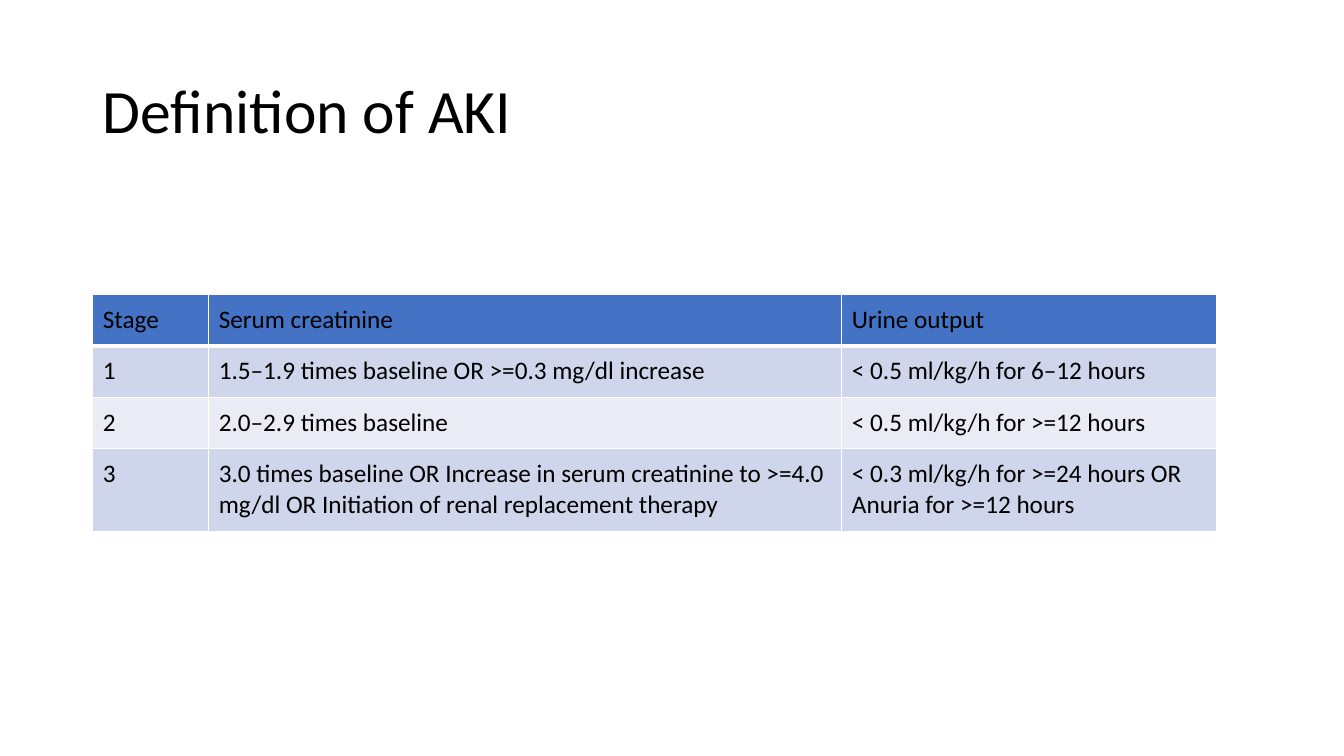
from dataclasses import dataclass

from lxml import etree
from pptx import Presentation
from pptx import util as u
from pptx.dml.color import RGBColor
from pptx.enum import text
from pptx.oxml import ns


@dataclass(frozen=True)
class Theme:
    font: str = "Calibri"
    ink: str = "000000"
    header: str = "4472C4"
    bands: tuple = ("CFD5EA", "E9EBF5")
    border: str = "FFFFFF"
    title_size: int = 44
    table_size: int = 18
    thin: int = 1
    thick: int = 3


THEME = Theme()
SLIDE_SIZE = (1333, 750)
TITLE_BOX = (92, 40, 1150, 145)
TABLE_BOX = (92, 292, 1115, 235)
COLUMN_WIDTHS = (115, 628, 372)
ROW_HEIGHTS = (51, 51, 51, 82)
CELL_MARGIN = 10
STAGES = (
    ("Stage", "Serum creatinine", "Urine output"),
    ("1", "1.5–1.9 times baseline OR >=0.3 mg/dl increase", "< 0.5 ml/kg/h for 6–12 hours"),
    ("2", "2.0–2.9 times baseline", "< 0.5 ml/kg/h for >=12 hours"),
    (
        "3",
        "3.0 times baseline OR Increase in serum creatinine to >=4.0 mg/dl "
        "OR Initiation of renal replacement therapy",
        "< 0.3 ml/kg/h for >=24 hours OR Anuria for >=12 hours",
    ),
)


def px(length):
    return u.Emu(length * 9144)


def style_paragraph(paragraph, size):
    paragraph.font.name = THEME.font
    paragraph.font.size = u.Pt(size)
    paragraph.font.color.rgb = RGBColor.from_string(THEME.ink)


def add_title(slide, box, wording):
    frame = slide.shapes.add_textbox(*map(px, box)).text_frame
    frame.word_wrap = True
    frame.vertical_anchor = text.MSO_ANCHOR.MIDDLE
    paragraph = frame.paragraphs[0]
    paragraph.text = wording
    paragraph.line_spacing = 0.9
    style_paragraph(paragraph, THEME.title_size)


def add_border(cell, side, points):
    properties = cell._tc.get_or_add_tcPr()
    line = etree.SubElement(properties, ns.qn(f"a:ln{side}"), w=str(u.Pt(points)))
    fill = etree.SubElement(line, ns.qn("a:solidFill"))
    etree.SubElement(fill, ns.qn("a:srgbClr"), val=THEME.border)


def fill_cell(cell, wording, row):
    cell.text = wording
    cell.margin_left = cell.margin_right = px(CELL_MARGIN)
    cell.margin_top = cell.margin_bottom = px(CELL_MARGIN)
    style_paragraph(cell.text_frame.paragraphs[0], THEME.table_size)
    thick_side = {0: "B", 1: "T"}.get(row)
    for side in "LRTB":
        add_border(cell, side, THEME.thick if side == thick_side else THEME.thin)
    color = THEME.bands[(row - 1) % 2] if row else THEME.header
    cell.fill.solid()
    cell.fill.fore_color.rgb = RGBColor.from_string(color)


def add_stage_table(slide, box, stages):
    table = slide.shapes.add_table(len(stages), len(stages[0]), *map(px, box)).table
    table.first_row = table.horz_banding = False
    for column, width in zip(table.columns, COLUMN_WIDTHS):
        column.width = px(width)
    for row, height in zip(table.rows, ROW_HEIGHTS):
        row.height = px(height)
    for row, wordings in enumerate(stages):
        for column, wording in enumerate(wordings):
            fill_cell(table.cell(row, column), wording, row)


def main():
    presentation = Presentation()
    presentation.slide_width, presentation.slide_height = map(px, SLIDE_SIZE)
    slide = presentation.slides.add_slide(presentation.slide_layouts[6])
    add_title(slide, TITLE_BOX, "Definition of AKI")
    add_stage_table(slide, TABLE_BOX, STAGES)
    presentation.save("out.pptx")


if __name__ == "__main__":
    main()
